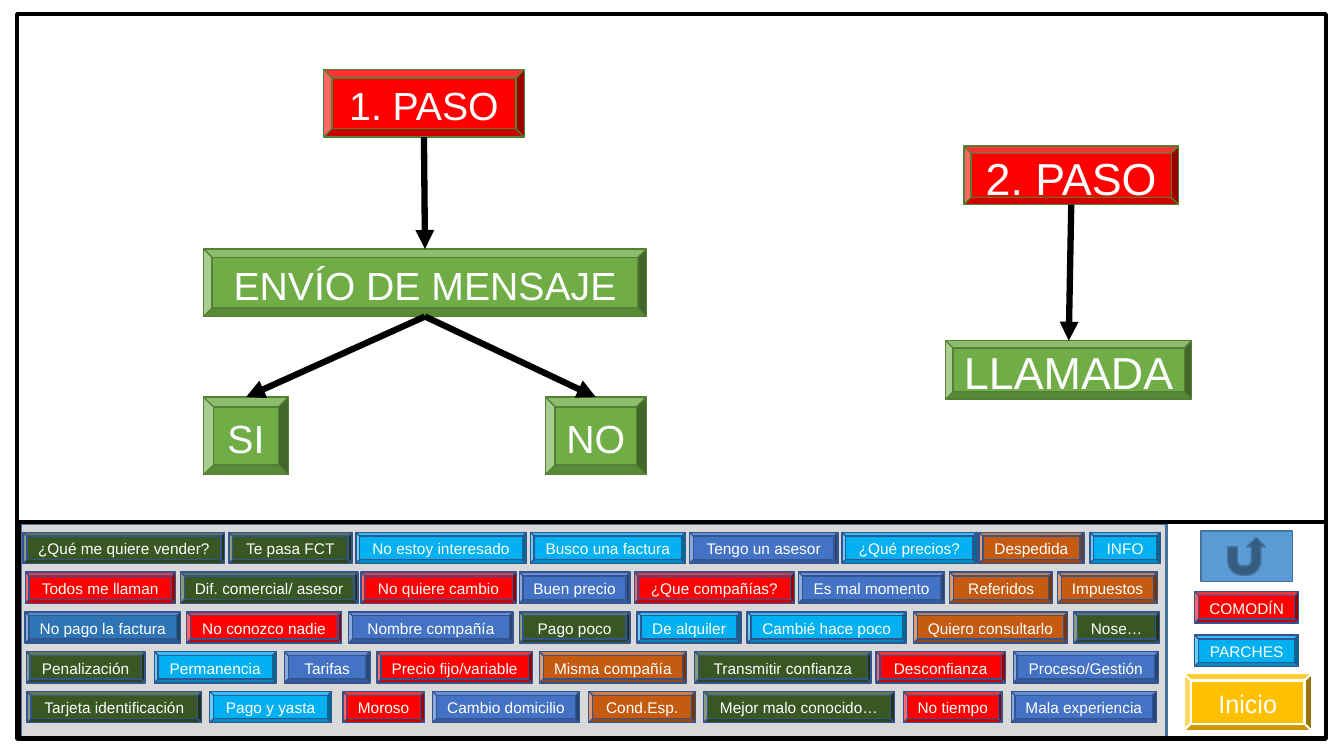
"""Build the call-script slide: two steps above a panel of objection buttons."""
from dataclasses import dataclass

from lxml import etree
from pptx import Presentation
from pptx import util as u
from pptx.dml.color import RGBColor
from pptx.enum import shapes, text
from pptx.oxml.ns import qn


@dataclass(frozen=True)
class Theme:
    font: str = "Arial"
    white: str = "FFFFFF"
    black: str = "000000"
    red: str = "FF0000"
    green: str = "70AD47"
    green_edge: str = "538035"
    forest: str = "385723"
    sky: str = "00B0F0"
    blue: str = "4472C4"
    steel: str = "2E75B6"
    orange: str = "C55A11"
    gold: str = "FFC000"
    return_blue: str = "5B9BD5"
    return_edge: str = "43739E"
    button_edge: str = "325491"
    panel: str = "D9D9D9"
    button_size: int = 11
    home_size: int = 18
    step_size: int = 28
    large_step_size: int = 32


THEME = Theme()
KIND = shapes.MSO_SHAPE
BUTTON_HEIGHT = 0.31
ROW_TOP = 5.28
ROW_PITCH = 0.395
BEVEL_BOTTOM = 2
BEVEL_TOP = 6

BUTTON_ROWS = [
    [
        (0.23, 2.0, THEME.forest, "¿Qué me quiere vender?"),
        (2.27, 1.22, THEME.forest, "Te pasa FCT"),
        (3.53, 1.69, THEME.sky, "No estoy interesado"),
        (5.26, 1.54, THEME.sky, "Busco una factura"),
        (6.84, 1.47, THEME.blue, "Tengo un asesor"),
        (8.35, 1.34, THEME.sky, "¿Qué precios?"),
        (9.71, 1.04, THEME.orange, "Despedida"),
        (10.81, 0.7, THEME.sky, "INFO"),
    ],
    [
        (0.25, 1.49, THEME.red, "Todos me llaman"),
        (1.79, 1.76, THEME.forest, "Dif. comercial/ asesor"),
        (3.58, 1.54, THEME.red, "No quiere cambio"),
        (5.15, 1.1, THEME.blue, "Buen precio"),
        (6.29, 1.59, THEME.red, "¿Que compañías?"),
        (7.92, 1.45, THEME.blue, "Es mal momento"),
        (9.42, 1.02, THEME.orange, "Referidos"),
        (10.49, 0.99, THEME.orange, "Impuestos"),
    ],
    [
        (0.25, 1.54, THEME.steel, "No pago la factura"),
        (1.85, 1.54, THEME.red, "No conozco nadie"),
        (3.46, 1.63, THEME.blue, "Nombre compañía"),
        (5.15, 1.1, THEME.forest, "Pago poco"),
        (6.32, 1.03, THEME.sky, "De alquiler"),
        (7.41, 1.58, THEME.sky, "Cambié hace poco"),
        (9.06, 1.53, THEME.orange, "Quiero consultarlo"),
        (10.65, 0.85, THEME.forest, "Nose…"),
    ],
    [
        (0.26, 1.18, THEME.forest, "Penalización"),
        (1.53, 1.21, THEME.sky, "Permanencia"),
        (2.82, 0.85, THEME.blue, "Tarifas"),
        (3.74, 1.54, THEME.red, "Precio fijo/variable"),
        (5.35, 1.46, THEME.orange, "Misma compañía"),
        (6.89, 1.75, THEME.forest, "Transmitir confianza"),
        (8.69, 1.28, THEME.red, "Desconfianza"),
        (10.05, 1.44, THEME.blue, "Proceso/Gestión"),
    ],
    [
        (0.27, 1.73, THEME.forest, "Tarjeta identificación"),
        (2.08, 1.21, THEME.sky, "Pago y yasta"),
        (3.4, 0.81, THEME.red, "Moroso"),
        (4.29, 1.46, THEME.blue, "Cambio domicilio"),
        (5.84, 1.06, THEME.orange, "Cond.Esp."),
        (6.98, 1.89, THEME.forest, "Mejor malo conocido…"),
        (8.96, 0.98, THEME.red, "No tiempo"),
        (10.03, 1.44, THEME.blue, "Mala experiencia"),
    ],
]


def add_box(slide, kind, box, fill=None, edge=THEME.black, weight=1):
    """Add a preset shape, hollow when no fill is given."""
    shape = slide.shapes.add_shape(kind, *map(u.Inches, box))
    shape.shadow.inherit = False
    if fill:
        shape.fill.solid()
        shape.fill.fore_color.rgb = RGBColor.from_string(fill)
    else:
        shape.fill.background()
    shape.line.color.rgb = RGBColor.from_string(edge)
    shape.line.width = u.Pt(weight)
    return shape


def write(shape, wording, size=THEME.button_size, color=THEME.white):
    """Write one centred paragraph in a shape."""
    frame = shape.text_frame
    frame.word_wrap = True
    frame.margin_left = frame.margin_right = u.Inches(0.05)
    frame.vertical_anchor = text.MSO_ANCHOR.MIDDLE
    paragraph = frame.paragraphs[0]
    paragraph.alignment = text.PP_ALIGN.CENTER
    paragraph.line_spacing = 1.07
    paragraph.space_after = u.Pt(8)
    run = paragraph.add_run()
    run.text = wording
    run.font.name = THEME.font
    run.font.size = u.Pt(size)
    run.font.color.rgb = RGBColor.from_string(color)


def add_step(slide, box, fill, wording, size=THEME.step_size):
    """Add a bevelled step of the flow."""
    shape = add_box(slide, KIND.BEVEL, box, fill, THEME.green_edge)
    write(shape, wording, size=size)
    return shape


def add_button(slide, left, top, width, fill, wording):
    """Add a small bevelled button."""
    box = (left, top, width, BUTTON_HEIGHT)
    write(add_box(slide, KIND.BEVEL, box, fill, THEME.button_edge), wording)


def add_arrow(slide, start, end):
    """Join the bottom of one step to the top of another."""
    connector = slide.shapes.add_connector(shapes.MSO_CONNECTOR.STRAIGHT, 0, 0, 0, 0)
    connector.begin_connect(start, BEVEL_BOTTOM)
    connector.end_connect(end, 0)
    connector._element.find(".//" + qn("a:endCxn")).set("idx", str(BEVEL_TOP))
    connector.line.color.rgb = RGBColor.from_string(THEME.black)
    connector.line.width = u.Pt(4.5)
    etree.SubElement(connector.line._get_or_add_ln(), qn("a:tailEnd"), type="triangle")
    etree.SubElement(connector._element.spPr, qn("a:effectLst"))


def add_flow(slide):
    """Draw both steps with their outcomes."""
    first = add_step(slide, (3.21, 0.69, 1.99, 0.67), THEME.red, "1. PASO")
    message = add_step(slide, (2.02, 2.47, 4.39, 0.67), THEME.green, "ENVÍO DE MENSAJE")
    yes = add_step(slide, (2.02, 3.94, 0.84, 0.77), THEME.green, "SI")
    no = add_step(slide, (5.41, 3.94, 1, 0.77), THEME.green, "NO")
    second = add_step(slide, (9.56, 1.45, 2.13, 0.58), THEME.red, "2. PASO",
                      THEME.large_step_size)
    call = add_step(slide, (9.38, 3.38, 2.44, 0.58), THEME.green, "LLAMADA",
                    THEME.large_step_size)
    for start, end in ((first, message), (message, yes), (message, no), (second, call)):
        add_arrow(slide, start, end)


def add_panel(slide):
    """Draw the objection panel, the side controls and the frames."""
    add_box(slide, KIND.RECTANGLE, (0.2, 5.19, 11.37, 2.13), THEME.panel,
            THEME.return_edge, 2.25)
    for index, row in enumerate(BUTTON_ROWS):
        for left, width, fill, wording in row:
            add_button(slide, left, ROW_TOP + index * ROW_PITCH, width, fill, wording)
    add_box(slide, KIND.ACTION_BUTTON_RETURN, (11.91, 5.27, 0.91, 0.5),
            THEME.return_blue, THEME.return_edge)
    add_button(slide, 11.85, 5.87, 1.03, THEME.red, "COMODÍN")
    add_button(slide, 11.85, 6.3, 1.03, THEME.sky, "PARCHES")
    home = add_box(slide, KIND.BEVEL, (11.74, 6.68, 1.27, 0.57), THEME.gold, THEME.white, 1.5)
    write(home, "Inicio", size=THEME.home_size)
    for box in ((0.17, 0.14, 12.98, 7.19), (0.19, 5.18, 12.96, 2.14)):
        add_box(slide, KIND.RECTANGLE, box, weight=3)


def main():
    """Build and save the slide."""
    presentation = Presentation()
    presentation.slide_width = u.Inches(13.33)
    presentation.slide_height = u.Inches(7.5)
    slide = presentation.slides.add_slide(presentation.slide_layouts[6])
    add_flow(slide)
    add_panel(slide)
    presentation.save("out.pptx")


if __name__ == "__main__":
    main()
